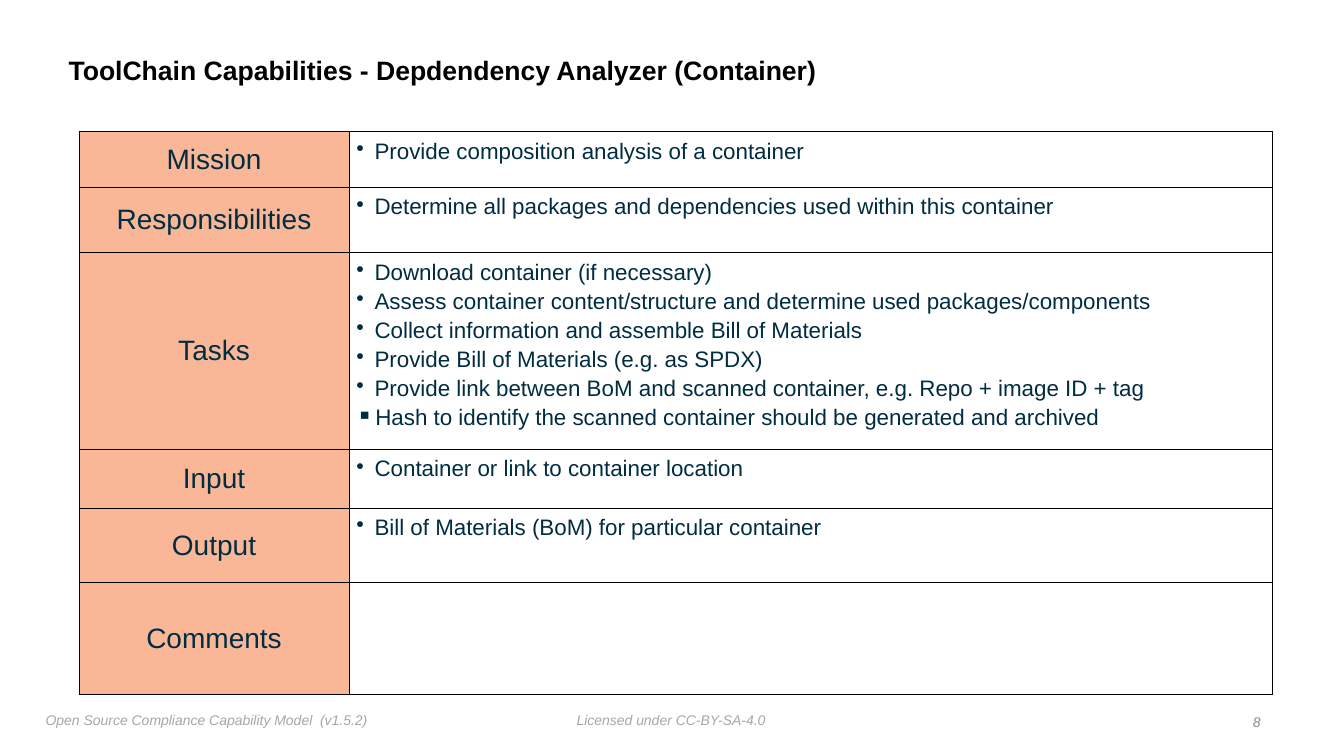
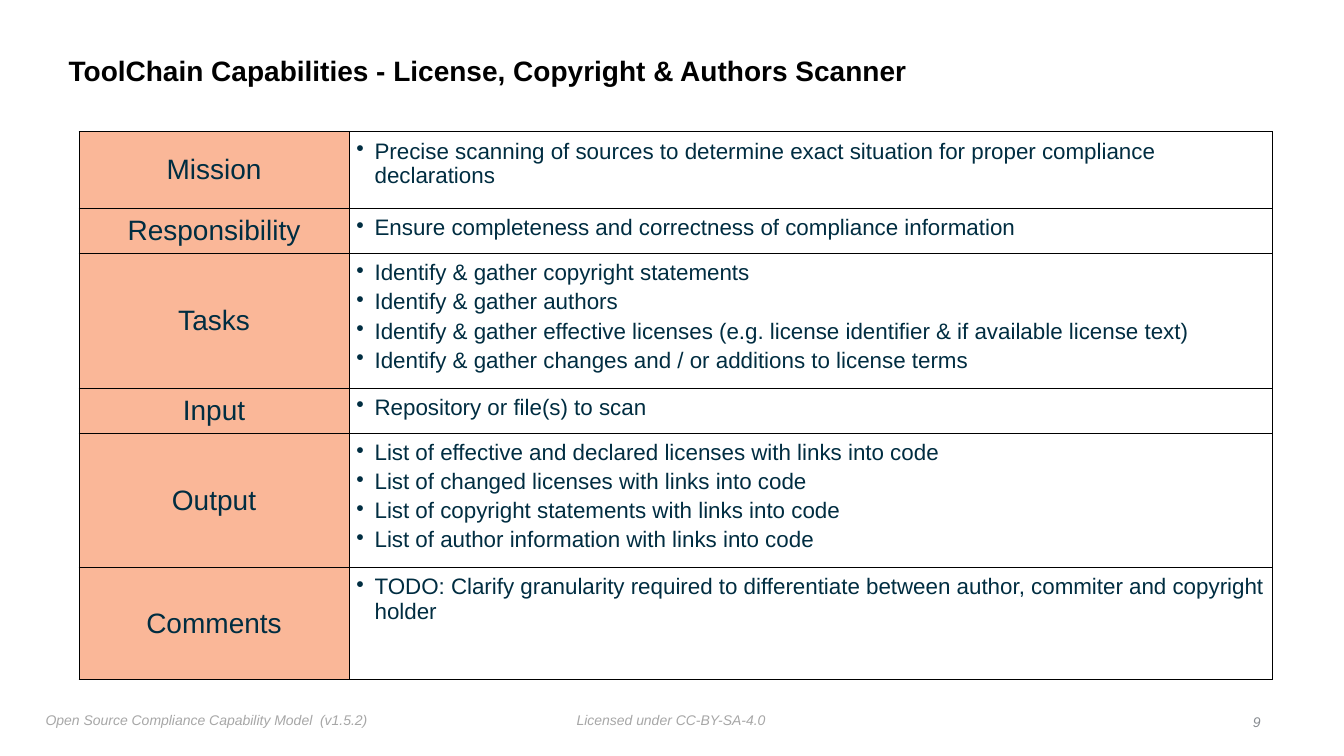
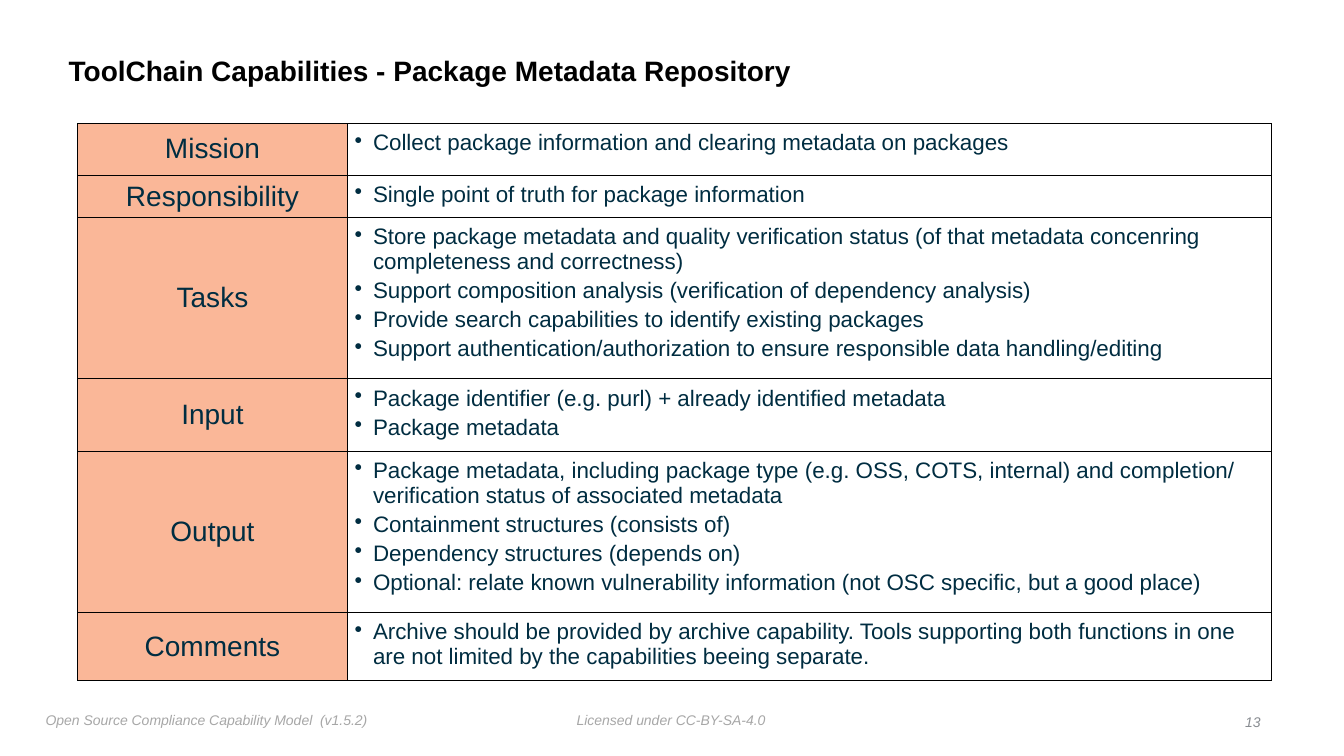
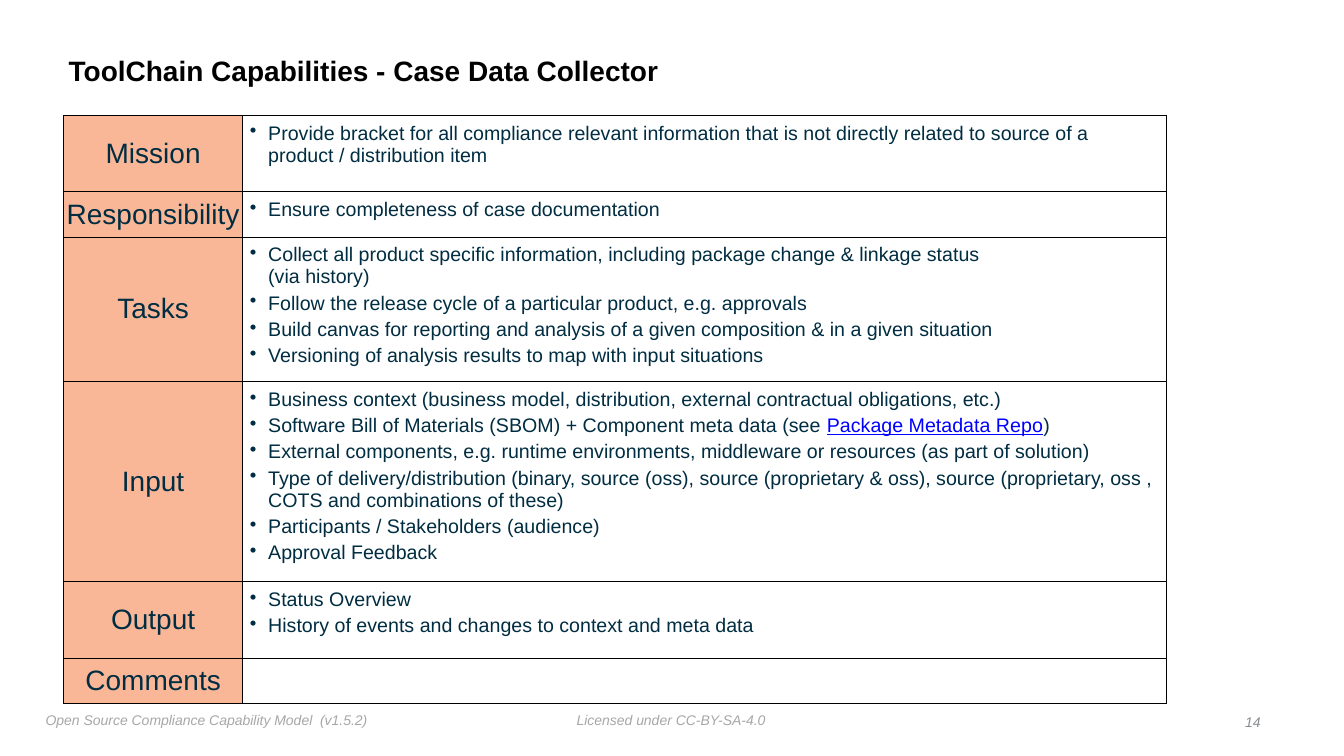
from dataclasses import dataclass

from lxml import etree
from pptx import Presentation
from pptx.dml.color import RGBColor
from pptx.enum.text import MSO_ANCHOR, PP_ALIGN
from pptx.oxml.ns import qn
from pptx.util import Cm, Pt

LEFT, CENTER, RIGHT = PP_ALIGN.LEFT, PP_ALIGN.CENTER, PP_ALIGN.RIGHT
TOP, MIDDLE = MSO_ANCHOR.TOP, MSO_ANCHOR.MIDDLE


@dataclass(frozen=True)
class Theme:
    font: str = "Arial"
    title: str = "000000"
    text: str = "002D41"
    label_fill: str = "FAB798"
    link: str = "0000FF"
    footer: str = "A7A7A7"
    number: str = "888C91"
    border: str = "000000"
    border_pt: float = 0.5
    title_pt: int = 20
    label_pt: int = 20
    body_pt: int = 16
    footer_pt: int = 10
    bullet_gap_pt: int = 3


@dataclass(frozen=True)
class Link:
    text: str


@dataclass(frozen=True)
class Bullet:
    pieces: tuple
    char: str = "•"
    indent: float = 0.46


class Deck:
    def __init__(self, theme):
        self.theme = theme
        self.prs = Presentation()
        self.prs.slide_width = Cm(33.87)
        self.prs.slide_height = Cm(19.05)
        self.slide = None

    def add_slide(self, title, number, title_pt=None):
        t = self.theme
        self.slide = self.prs.slides.add_slide(self.prs.slide_layouts[6])
        self.footer("Licensed under CC-BY-SA-4.0", 14.4, 5.05)
        self.footer("Open Source Compliance Capability Model  (v1.5.2)", 1.02, 8.43)
        p = self.text_box(1.6, 0.99, 27.3, 1.65, MIDDLE)
        p.line_spacing = 0.9
        self.run(p, title, title_pt or t.title_pt, t.title, bold=True)
        p = self.text_box(30.63, 17.86, 1.27, 0.64, MIDDLE, RIGHT)
        self.run(p, str(number), t.footer_pt, t.number, italic=True)

    def footer(self, text, left, width):
        p = self.text_box(left, 17.81, width, 0.64, wrap=False)
        self.run(p, text, self.theme.footer_pt, self.theme.footer, italic=True)

    def text_box(self, left, top, width, height, anchor=TOP, align=LEFT, wrap=True):
        tf = self.slide.shapes.add_textbox(
            Cm(left), Cm(top), Cm(width), Cm(height)).text_frame
        tf.word_wrap = wrap
        tf.vertical_anchor = anchor
        tf.margin_left = tf.margin_right = Cm(0.13)
        tf.margin_top = tf.margin_bottom = Cm(0.13)
        p = tf.paragraphs[0]
        p.alignment = align
        return p

    def run(self, p, text, size, color, **style):
        r = p.add_run()
        r.text = text
        f = r.font
        f.name = self.theme.font
        f.size = Pt(size)
        f.color.rgb = RGBColor.from_string(color)
        for name, value in style.items():
            setattr(f, name, value)

    def table(self, rows, left, top, label_width=6.81, body_pt=None):
        widths = (label_width, 23.27)
        height = sum(row[1] for row in rows)
        tbl = self.slide.shapes.add_table(
            len(rows), 2, Cm(left), Cm(top), Cm(sum(widths)), Cm(height)).table
        tbl.first_row = tbl.horz_banding = False
        for col, width in zip(tbl.columns, widths):
            col.width = Cm(width)
        for i, (label, row_height, bullets) in enumerate(rows):
            tbl.rows[i].height = Cm(row_height)
            self.label_cell(tbl.cell(i, 0), label)
            self.bullet_cell(tbl.cell(i, 1), bullets, body_pt or self.theme.body_pt)

    def style_cell(self, cell, margin, anchor):
        cell.margin_left = cell.margin_right = Cm(margin)
        cell.margin_top = cell.margin_bottom = Cm(margin)
        cell.vertical_anchor = anchor
        tc_pr = cell._tc.get_or_add_tcPr()
        for side in ("lnL", "lnR", "lnT", "lnB"):
            ln = etree.SubElement(tc_pr, qn("a:" + side), w=str(Pt(self.theme.border_pt)))
            fill = etree.SubElement(ln, qn("a:solidFill"))
            etree.SubElement(fill, qn("a:srgbClr"), val=self.theme.border)

    def label_cell(self, cell, label):
        t = self.theme
        self.style_cell(cell, 0, MIDDLE)
        cell.fill.solid()
        cell.fill.fore_color.rgb = RGBColor.from_string(t.label_fill)
        p = cell.text_frame.paragraphs[0]
        p.alignment = CENTER
        self.run(p, label, t.label_pt, t.text)

    def bullet_cell(self, cell, bullets, size):
        self.style_cell(cell, 0.18, TOP)
        cell.fill.background()
        tf = cell.text_frame
        for i, item in enumerate(bullets):
            p = tf.add_paragraph() if i else tf.paragraphs[0]
            if i:
                p.space_before = Pt(self.theme.bullet_gap_pt)
            self.bullet(p, item if isinstance(item, Bullet) else Bullet((item,)), size)

    def bullet(self, p, item, size):
        t = self.theme
        p_pr = p._p.get_or_add_pPr()
        p_pr.set("marL", str(Cm(item.indent)))
        p_pr.set("indent", str(-Cm(item.indent)))
        etree.SubElement(p_pr, qn("a:buChar"), char=item.char)
        for piece in item.pieces:
            if piece == "\n":
                p.add_line_break()
            elif isinstance(piece, Link):
                self.run(p, piece.text, size, t.link, underline=True)
            else:
                self.run(p, piece, size, t.text)


def main():
    deck = Deck(Theme())

    deck.add_slide("ToolChain Capabilities - Depdendency Analyzer (Container)", 8, title_pt=19)
    deck.table([
        ("Mission", 1.4, ["Provide composition analysis of a container"]),
        ("Responsibilities", 1.65, [
            "Determine all packages and dependencies used within this container"]),
        ("Tasks", 4.65, [
            "Download container (if necessary)",
            "Assess container content/structure and determine used packages/components",
            "Collect information and assemble Bill of Materials",
            "Provide Bill of Materials (e.g. as SPDX)",
            "Provide link between BoM and scanned container, e.g. Repo + image ID + tag",
            Bullet(("Hash to identify the scanned container should be generated and archived",),
                   "▪", 0.48)]),
        ("Input", 1.48, ["Container or link to container location"]),
        ("Output", 1.88, ["Bill of Materials (BoM) for particular container"]),
        ("Comments", 2.82, []),
    ], 1.99, 3.32)

    deck.add_slide("ToolChain Capabilities - License, Copyright & Authors Scanner", 9)
    deck.table([
        ("Mission", 1.93, [
            "Precise scanning of sources to determine exact situation for proper compliance "
            "declarations"]),
        ("Responsibility", 1.14, [
            "Ensure completeness and correctness of compliance information"]),
        ("Tasks", 3.18, [
            "Identify & gather copyright statements",
            "Identify & gather authors",
            "Identify & gather effective licenses (e.g. license identifier & if available "
            "license text)",
            "Identify & gather changes and / or additions to license terms"]),
        ("Input", 1.14, ["Repository or file(s) to scan"]),
        ("Output", 3.18, [
            "List of effective and declared licenses with links into code",
            "List of changed licenses with links into code",
            "List of copyright statements with links into code",
            "List of author information with links into code"]),
        ("Comments", 2.82, [
            "TODO: Clarify granularity required to differentiate between author, commiter "
            "and copyright holder"]),
    ], 1.99, 3.32)

    deck.add_slide("ToolChain Capabilities - Package Metadata Repository", 13)
    deck.table([
        ("Mission", 1.3, ["Collect package information and clearing metadata on packages"]),
        ("Responsibility", 1.07, ["Single point of truth for package information"]),
        ("Tasks", 3.81, [
            "Store package metadata and quality verification status (of that metadata "
            "concenring completeness and correctness)",
            "Support composition analysis (verification of dependency analysis)",
            "Provide search capabilities to identify existing packages",
            "Support authentication/authorization to ensure responsible data "
            "handling/editing"]),
        ("Input", 1.7, [
            "Package identifier (e.g. purl) + already identified metadata",
            "Package metadata"]),
        ("Output", 3.81, [
            "Package metadata, including package type (e.g. OSS, COTS, internal) and "
            "completion/ verification status of associated metadata",
            "Containment structures (consists of)",
            "Dependency structures (depends on)",
            "Optional: relate known vulnerability information (not OSC specific, but a "
            "good place)"]),
        ("Comments", 1.65, [
            "Archive should be provided by archive capability. Tools supporting both "
            "functions in one are not limited by the capabilities beeing separate."]),
    ], 1.95, 3.11)

    deck.add_slide("ToolChain Capabilities - Case Data Collector", 14)
    deck.table([
        ("Mission", 1.93, [
            "Provide bracket for all compliance relevant information that is not directly "
            "related to source of a product / distribution item"]),
        ("Responsibility", 1.14, ["Ensure completeness of case documentation"]),
        ("Tasks", 3.45, [
            Bullet(("Collect all product specific information, including package change & "
                    "linkage status ", "\n", "(via history)")),
            "Follow the release cycle of a particular product, e.g. approvals",
            "Build canvas for reporting and analysis of a given composition & in a given "
            "situation",
            "Versioning of analysis results to map with input situations"]),
        ("Input", 4.77, [
            "Business context (business model, distribution, external contractual "
            "obligations, etc.)",
            Bullet(("Software Bill of Materials (SBOM) + Component meta data (see ",
                    Link("Package Metadata Repo"), ")")),
            "External components, e.g. runtime environments, middleware or resources (as "
            "part of solution)",
            "Type of delivery/distribution (binary, source (oss), source (proprietary & "
            "oss), source (proprietary, oss , COTS and combinations of these)",
            "Participants / Stakeholders (audience)",
            "Approval Feedback"]),
        ("Output", 1.93, [
            "Status Overview",
            "History of events and changes to context and meta data"]),
        ("Comments", 1.14, []),
    ], 1.6, 2.9, label_width=4.52, body_pt=14)

    deck.prs.save("out.pptx")


if __name__ == "__main__":
    main()
